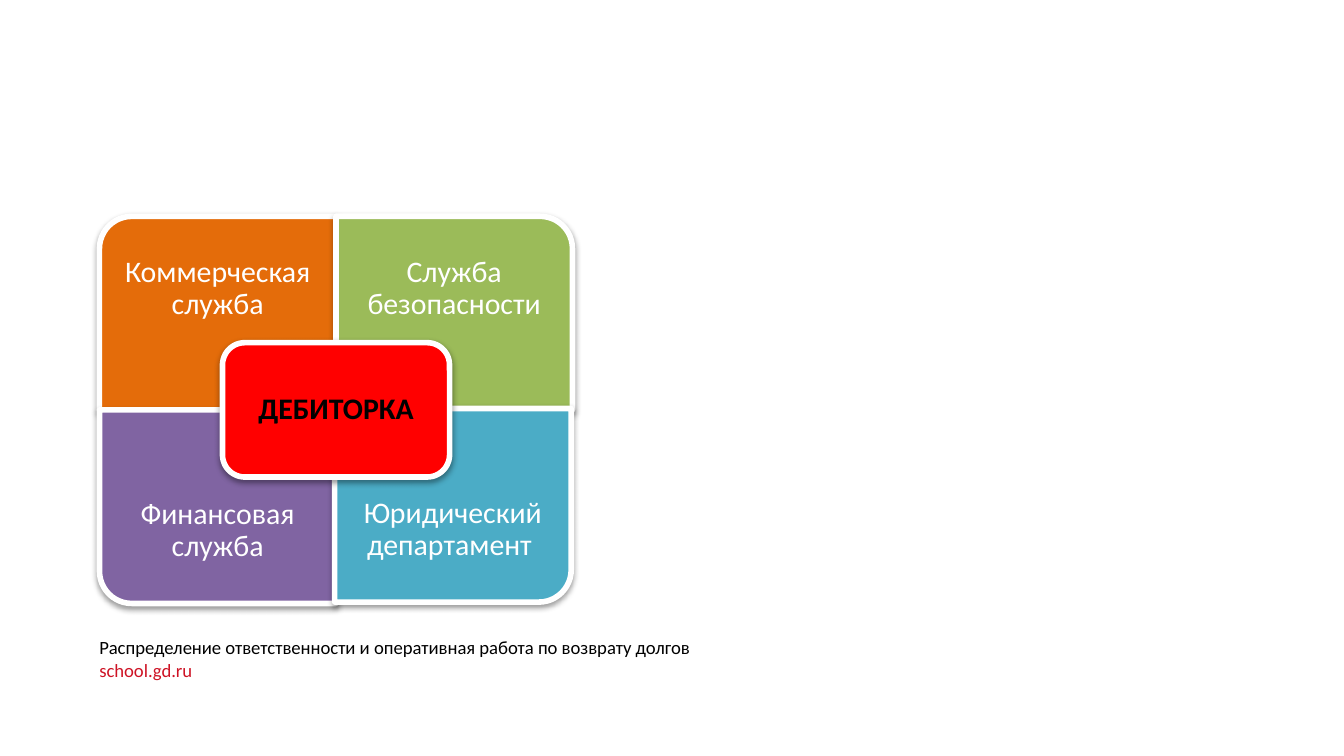
from lxml import etree
from pptx import Presentation
from pptx.dml.color import RGBColor
from pptx.enum.shapes import MSO_SHAPE
from pptx.enum.text import MSO_ANCHOR, PP_ALIGN
from pptx.oxml import parse_xml
from pptx.util import Inches, Pt

ROUND_ONE = MSO_SHAPE.ROUND_1_RECTANGLE
ROUND_ALL = MSO_SHAPE.ROUNDED_RECTANGLE
MIDDLE = MSO_ANCHOR.MIDDLE
CENTER = PP_ALIGN.CENTER

WHITE = RGBColor(0xFF, 0xFF, 0xFF)
BLACK = RGBColor(0x00, 0x00, 0x00)
ORANGE = RGBColor(0xE4, 0x6C, 0x0A)
GREEN = RGBColor(0x9B, 0xBB, 0x59)
PURPLE = RGBColor(0x80, 0x64, 0xA2)
TEAL = RGBColor(0x4B, 0xAC, 0xC6)
RED = RGBColor(0xFF, 0x00, 0x00)
LINK_RED = RGBColor(0xCE, 0x13, 0x25)

NS = "http://schemas.openxmlformats.org/drawingml/2006/main"
SHADOW = (
    f'<a:outerShdw xmlns:a="{NS}" blurRad="40000" dist="20000" dir="5400000" rotWithShape="0">'
    '<a:srgbClr val="000000"><a:alpha val="38000"/></a:srgbClr></a:outerShdw>'
)

LEFT, TOP = 0.74, 1.61
COL, ROW = 1.76, 1.44
LABEL_H = ROW * 0.75

prs = Presentation()
prs.slide_width = Inches(10)
prs.slide_height = Inches(10 * 9 / 16)
s = prs.slides.add_slide(prs.slide_layouts[6])


def add_block(kind, cx, cy, w, h, color, rotation=0):
    sp = s.shapes.add_shape(kind, Inches(cx - w / 2), Inches(cy - h / 2), Inches(w), Inches(h))
    sp.rotation = rotation
    sp.fill.solid()
    sp.fill.fore_color.rgb = color
    sp.line.color.rgb = WHITE
    sp.line.width = Pt(3)
    sp.shadow.inherit = False
    effects = sp._element.spPr.find(etree.QName(NS, "effectLst").text)
    effects.append(parse_xml(SHADOW))


def add_label(text, x, y, w, h, inset, color, bold=False):
    tf = s.shapes.add_textbox(Inches(x), Inches(y), Inches(w), Inches(h)).text_frame
    tf.word_wrap = True
    tf.vertical_anchor = MIDDLE
    tf.margin_left = tf.margin_right = tf.margin_top = tf.margin_bottom = Inches(inset)
    p = tf.paragraphs[0]
    p.text = text
    p.alignment = CENTER
    p.line_spacing = 0.9
    p.font.name = "Calibri"
    p.font.size = Pt(16)
    p.font.bold = bold
    p.font.color.rgb = color


tf = s.shapes.add_textbox(Inches(0.64), Inches(4.7), Inches(6.25), Inches(0.42)).text_frame
tf.word_wrap = True
for i, (text, color, spacing) in enumerate([
    ("Распределение ответственности и оперативная работа по возврату долгов", BLACK, 0.91),
    ("school.gd.ru", LINK_RED, 1.0),
]):
    p = tf.paragraphs[0] if i == 0 else tf.add_paragraph()
    p.text = text
    p.line_spacing = spacing
    p.font.name = "Calibri"
    p.font.size = Pt(10)
    p.font.color.rgb = color

quarters = [
    ("Коммерческая служба", 0, 0, ORANGE, 270, 0),
    ("Служба безопасности", 1, 0, GREEN, 0, 0),
    ("Финансовая служба", 0, 1, PURPLE, 180, 0),
    ("Юридический департамент ", 1, 1, TEAL, 90, 0.01),
]
for text, col, row, color, rotation, shift in quarters:
    x = LEFT + col * COL - shift
    y = TOP + row * ROW - shift
    w, h = (ROW, COL) if rotation in (90, 270) else (COL, ROW)
    add_block(ROUND_ONE, x + COL / 2, y + ROW / 2, w, h, color, rotation)
    add_label(text, x, y + row * (ROW - LABEL_H), COL, LABEL_H, 0.12, WHITE)

cx, cy = LEFT + COL, TOP + ROW
w, h, pad = 1.69, 1, 0.05
add_block(ROUND_ALL, cx, cy, w, h, RED)
add_label("ДЕБИТОРКА", cx - w / 2 + pad, cy - h / 2 + pad, w - 2 * pad, h - 2 * pad, 0.07, BLACK, True)

prs.save("out.pptx")
